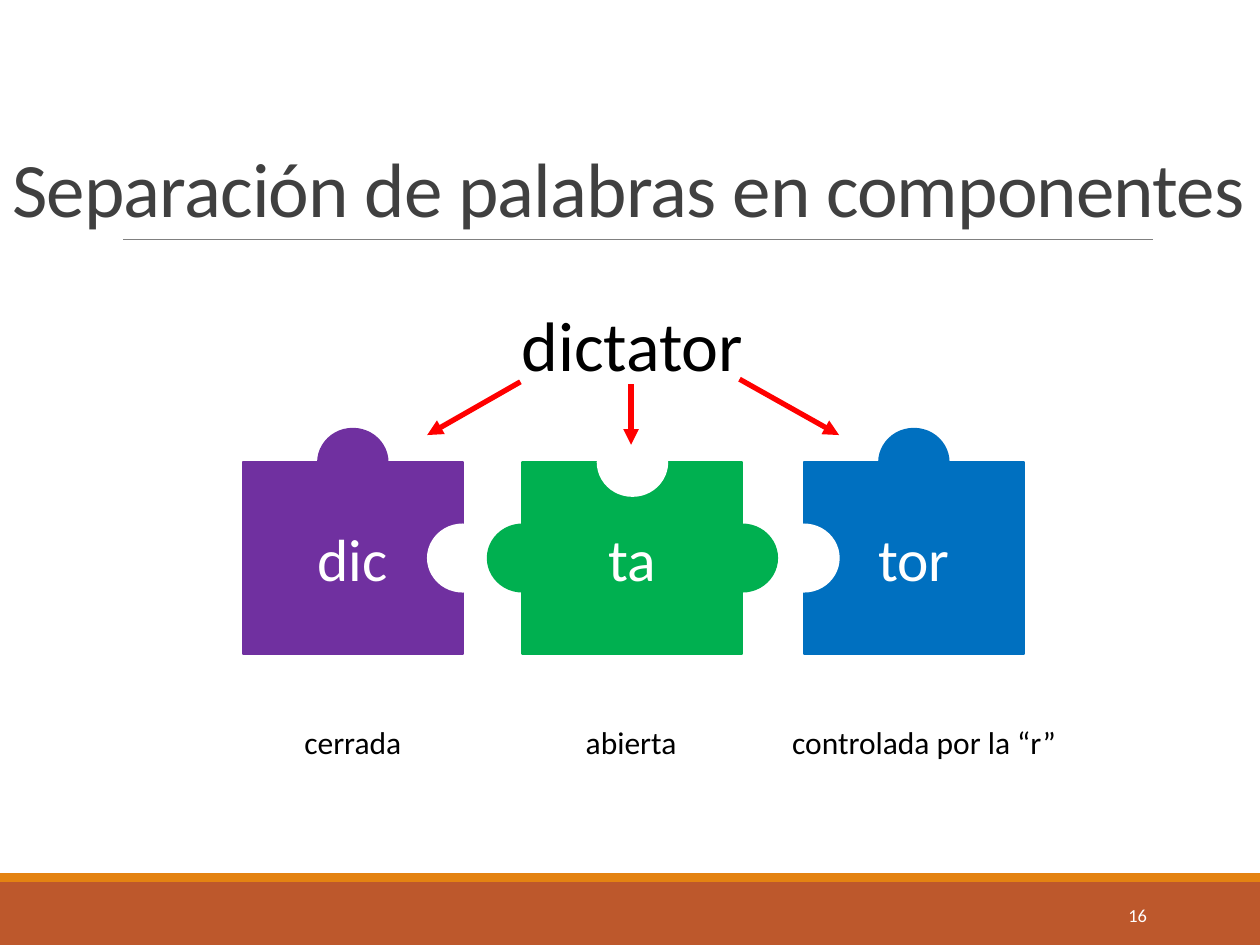
from dataclasses import dataclass

from lxml import etree
from pptx import Presentation
from pptx.dml.color import RGBColor
from pptx.enum.shapes import MSO_CONNECTOR as Connector, MSO_SHAPE as Shape
from pptx.enum.text import MSO_ANCHOR as Anchor, PP_ALIGN as Align
from pptx.oxml.ns import qn
from pptx.util import Pt


@dataclass(frozen=True)
class Theme:
    font: str = "Calibri"
    title_size: float = 44
    word_size: float = 40
    piece_size: float = 34
    label_size: float = 18
    number_size: float = 10.5
    white: str = "FFFFFF"
    black: str = "000000"
    title: str = "404040"
    rule: str = "808080"
    band: str = "BD582C"
    stripe: str = "E48312"
    arrow: str = "FF0000"
    purple: str = "7030A0"
    green: str = "00B050"
    blue: str = "0070C0"


class SlideBuilder:
    def __init__(self, slide, theme):
        self.slide = slide
        self.theme = theme

    def style(self, paragraph, size, color, align):
        paragraph.alignment = align
        paragraph.font.name = self.theme.font
        paragraph.font.size = Pt(size)
        paragraph.font.color.rgb = RGBColor.from_string(color)

    def text(self, words, box, size, color, align=Align.CENTER, anchor=Anchor.TOP):
        holder = self.slide.shapes.add_textbox(*map(Pt, box))
        frame = holder.text_frame
        frame.word_wrap = True
        frame.vertical_anchor = anchor
        paragraph = frame.paragraphs[0]
        paragraph.text = words
        self.style(paragraph, size, color, align)
        return frame

    def title(self, words, box):
        frame = self.text(words, box, self.theme.title_size, self.theme.title,
                          Align.LEFT, Anchor.BOTTOM)
        frame.margin_right = 0
        paragraph = frame.paragraphs[0]
        paragraph.line_spacing = 0.85
        paragraph.runs[0].font._element.set("spc", "-50")

    def block(self, kind, box, color, outlined=False, parent=None):
        shape = (parent or self.slide).shapes.add_shape(kind, *map(Pt, box))
        shape.shadow.inherit = False
        shape.fill.solid()
        shape.fill.fore_color.rgb = RGBColor.from_string(color)
        if outlined:
            shape.line.color.rgb = RGBColor.from_string(color)
            shape.line.width = Pt(1.25)
        else:
            shape.line.fill.background()
        return shape

    def line(self, start, end, color, width, arrow=False):
        connector = self.slide.shapes.add_connector(
            Connector.STRAIGHT, *map(Pt, (*start, *end)))
        connector.line.color.rgb = RGBColor.from_string(color)
        connector.line.width = Pt(width)
        if arrow:
            etree.SubElement(connector.line._get_or_add_ln(), qn("a:tailEnd"), type="triangle")
        etree.SubElement(connector._element.spPr, qn("a:effectLst"))

    def puzzle_piece(self, syllable, box, color, tabs=(), holes=()):
        """A rectangle with round tabs and holes centred on the named edges."""
        left, top, width, height = box
        middle = (left + width / 2, top + height / 2)
        edges = {
            "top": (middle[0], top),
            "left": (left, middle[1]),
            "right": (left + width, middle[1]),
        }
        knob_width, knob_height = 39.6, 38.2
        group = self.slide.shapes.add_group_shape()
        body = self.block(Shape.RECTANGLE, box, color, True, group)
        body.text_frame.vertical_anchor = Anchor.MIDDLE
        paragraph = body.text_frame.paragraphs[0]
        paragraph.text = syllable
        self.style(paragraph, self.theme.piece_size, self.theme.white, Align.CENTER)
        knobs = [(edge, self.theme.white) for edge in holes]
        knobs += [(edge, color) for edge in tabs]
        for edge, fill in knobs:
            x, y = edges[edge]
            knob = (x - knob_width / 2, y - knob_height / 2, knob_width, knob_height)
            self.block(Shape.OVAL, knob, fill, True, group)


def main():
    theme = Theme()
    deck = Presentation()
    deck.slide_width, deck.slide_height = Pt(720), Pt(540)
    page = SlideBuilder(deck.slides.add_slide(deck.slide_layouts[6]), theme)

    # Footer bands, title rule, title and slide number
    page.block(Shape.RECTANGLE, (0, 504, 720, 36), theme.band)
    page.block(Shape.RECTANGLE, (0, 499, 720, 5), theme.stripe)
    page.line((70.5, 136.8), (658.8, 136.8), theme.rule, 0.5)
    page.title("Separación de palabras en componentes", (0, 22.3, 720, 114.5))
    page.text("16", (584.6, 508.5, 77.8, 28.8), theme.number_size, theme.white,
              Align.RIGHT, Anchor.MIDDLE)

    # Puzzle pieces, the middle one in front
    top, width, height = 264.2, 125.6, 109.4
    pieces = (
        ("dic", 138.8, theme.purple, ["top"], ["right"]),
        ("tor", 459.4, theme.blue, ["top"], ["left"]),
        ("ta", 298.6, theme.green, ["left", "right"], ["top"]),
    )
    for syllable, left, color, tabs, holes in pieces:
        page.puzzle_piece(syllable, (left, top, width, height), color, tabs, holes)

    # Syllable types
    syllable_types = (
        ("cerrada", 138.8, width),
        ("abierta", 297.8, width),
        ("controlada por la “r”", 443.5, 169.2),
    )
    for label, left, label_width in syllable_types:
        page.text(label, (left, 409.7, label_width, 29), theme.label_size, theme.black)

    # Whole word with an arrow to each piece
    page.text("dictator", (164, 168.5, 394.6, 55.4), theme.word_size, theme.black)
    arrows = (
        ((297.4, 218.2), (244.1, 248.6)),
        ((360.6, 219.6), (360.6, 254.2)),
        ((422.6, 216.7), (479.5, 248.6)),
    )
    for start, end in arrows:
        page.line(start, end, theme.arrow, 3, arrow=True)

    deck.save("out.pptx")


if __name__ == "__main__":
    main()
